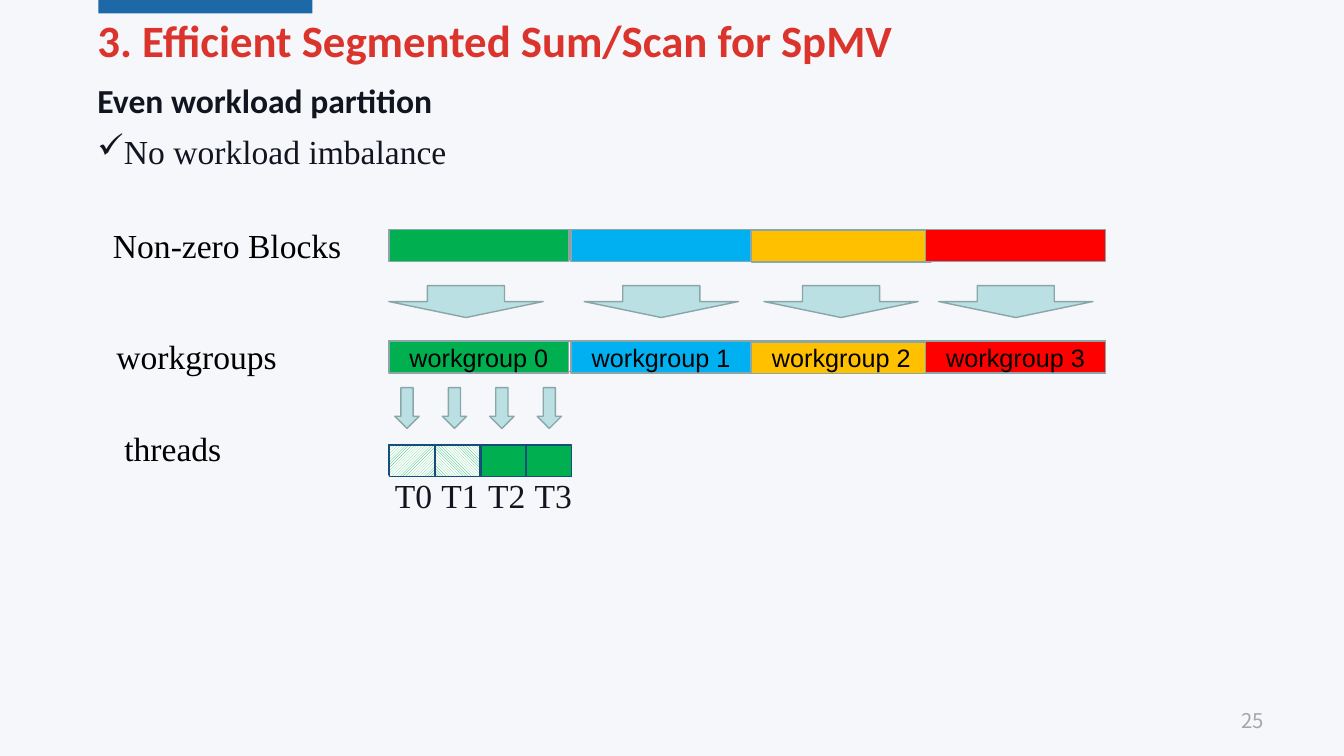
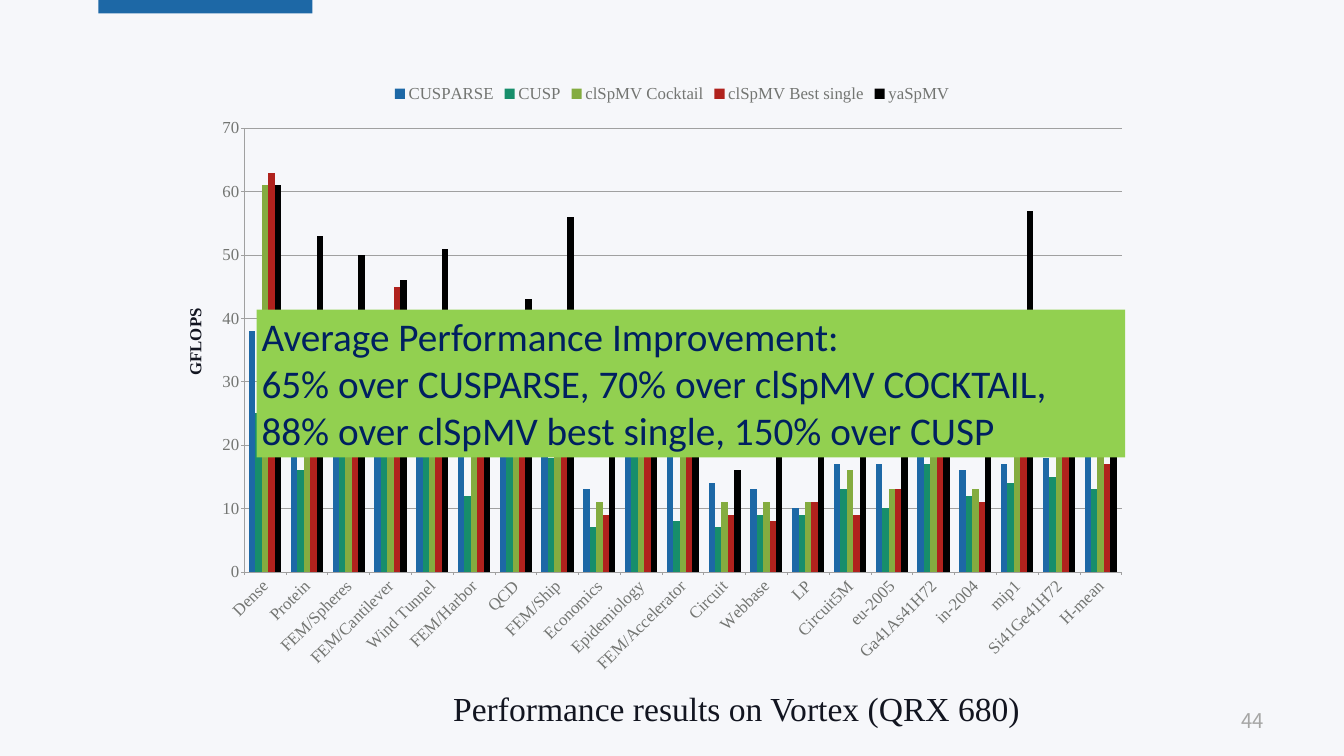
from dataclasses import dataclass

from lxml import etree
from pptx import Presentation
from pptx.chart.data import CategoryChartData
from pptx.dml.color import RGBColor
from pptx.enum.chart import XL_CHART_TYPE, XL_LEGEND_POSITION, XL_TICK_MARK
from pptx.enum.dml import MSO_PATTERN
from pptx.enum.shapes import MSO_SHAPE
from pptx.enum.text import MSO_ANCHOR, MSO_AUTO_SIZE, PP_ALIGN
from pptx.oxml.ns import qn
from pptx.util import Inches, Pt

RECT, DOWN_ARROW = MSO_SHAPE.RECTANGLE, MSO_SHAPE.DOWN_ARROW
LEFT, CENTER, RIGHT = PP_ALIGN.LEFT, PP_ALIGN.CENTER, PP_ALIGN.RIGHT
TOP, MIDDLE = MSO_ANCHOR.TOP, MSO_ANCHOR.MIDDLE
GROW = MSO_AUTO_SIZE.SHAPE_TO_FIT_TEXT
DARK_VERTICAL = MSO_PATTERN.DARK_VERTICAL
THREAD_PATTERNS = (MSO_PATTERN.WIDE_UPWARD_DIAGONAL, MSO_PATTERN.WIDE_DOWNWARD_DIAGONAL,
                   DARK_VERTICAL, MSO_PATTERN.DARK_HORIZONTAL)
TITLE_ONLY, BLANK = 5, 6

# The slide is a grid of 32 columns by 18 rows
SLIDE_W, SLIDE_H = Inches(26.67), Inches(15)
COLUMN, ROW = SLIDE_W / 32, SLIDE_H / 18


class Theme:
    back, bar, ink, black = "F6F7FA", "1D68A6", "121520", "000000"
    red_title, page, grey, white = "DB342D", "A6A6A5", "737572", "FFFFFF"
    arrow, edge, thread_edge = "BBE0E3", "8AA6A8", "154D7B"
    grid, blocks = "A0A0A0", "969895"
    green, blue, amber, red = "00B050", "00B0F0", "FFC000", "FF0000"
    callout, navy = "92D050", "002060"
    series = ("1D68A6", "178E6B", "84AC40", "B0221D", "000000")
    sans, serif, plain, number = "Calibri", "Times New Roman", "Arial", "Noto Sans CJK SC"
    # Type styles: font, size, colour, bold
    head = (sans, 64, red_title, True)
    subhead = (sans, 48, ink, True)
    body = (serif, 48, ink, False)
    row_label = (serif, 48, black, False)
    group = (plain, 36, black, False)
    axis = (serif, 24, grey, False)
    axis_title = (serif, 24, ink, True)
    result = (sans, 56, navy, False)
    page_number = (number, 29, page, False)


@dataclass
class Box:
    """An area in grid columns and rows."""
    x: float
    y: float
    w: float
    h: float

    def inner(self, x, y, w, h):
        return Box(self.x + x, self.y + y, w, h)

    def emu(self):
        return [round(n) for n in (self.x * COLUMN, self.y * ROW, self.w * COLUMN, self.h * ROW)]


def rgb(code):
    return RGBColor.from_string(code)


def set_font(font, style):
    name, size, colour, bold = style
    for key, value in dict(name=name, size=Pt(size), bold=bold).items():
        setattr(font, key, value)
    font.color.rgb = rgb(colour)


def write(shape, lines, style, align=LEFT, inset=(0.1, 0.05), spacing=None, bullet=None, **frame_format):
    frame = shape.text_frame
    x, y = map(Inches, inset)
    settings = dict(margin_left=x, margin_right=x, margin_top=y, margin_bottom=y,
                    word_wrap=True, vertical_anchor=TOP) | frame_format
    for key, value in settings.items():
        setattr(frame, key, value)
    frame.text = "\n".join(lines)
    for paragraph in frame.paragraphs:
        paragraph.alignment = align
        if spacing:
            paragraph.line_spacing = spacing
        if bullet:
            properties = paragraph._p.get_or_add_pPr()
            properties.set("marL", str(Inches(0.38)))
            properties.set("indent", str(-Inches(0.38)))
            etree.SubElement(properties, qn("a:buChar")).set("char", bullet)
        for run in paragraph.runs:
            set_font(run.font, style)
    return shape


def add_text(slide, box, text, style, **options):
    return write(slide.shapes.add_textbox(*box.emu()), [text], style, **options)


def add_block(slide, box, fill=None, edge=None, pattern=None, kind=RECT):
    block = slide.shapes.add_shape(kind, *box.emu())
    block.shadow.inherit = False
    if pattern:
        block.fill.patterned()
        block.fill.pattern = pattern
        block.fill.fore_color.rgb = rgb(fill)
        block.fill.back_color.rgb = rgb(Theme.white)
    elif fill:
        block.fill.solid()
        block.fill.fore_color.rgb = rgb(fill)
    else:
        block.fill.background()
    if edge:
        block.line.color.rgb = rgb(edge)
        block.line.width = Pt(2)
    else:
        block.line.fill.background()
    return block


def add_arrow(slide, box):
    add_block(slide, box, Theme.arrow, Theme.edge, kind=DOWN_ARROW)


def start_slide(deck, layout, page):
    slide = deck.slides.add_slide(deck.slide_layouts[layout])
    slide.background.fill.solid()
    slide.background.fill.fore_color.rgb = rgb(Theme.back)
    add_block(slide, Box(2.34, 0, 5.1, 0.32), Theme.bar)
    add_text(slide, Box(22.93, 16.68, 7.46, 0.96), page, Theme.page_number,
             align=RIGHT, inset=(0.24, 0.12), vertical_anchor=MIDDLE)
    return slide


# Partition slide
ROW_LABELS = (("Non-zero Blocks", 0, 0, 6), ("workgroups", 0.22, 2.64, 4.1),
              ("threads", 0.42, 4.83, 2.57))
# Colour, start of the block, start of its arrow, drop below the row
WORKGROUPS = ((Theme.green, 0, 0, 0), (Theme.blue, 4.34, 4.65, 0),
              (Theme.amber, 8.63, 8.93, 0.02), (Theme.red, 12.78, 13.09, 0))


def draw_headings(slide, box):
    heading = slide.shapes.title
    heading.left, heading.top, heading.width, heading.height = box.inner(0, 1.43, 21.6, 1.51).emu()
    titled = dict(inset=(0.2, 0.1), spacing=0.9, vertical_anchor=MIDDLE)
    write(heading, ["Even workload partition"], Theme.subhead, **titled)
    add_text(slide, box.inner(0, 0, 19.97, 1.57), "3. Efficient Segmented Sum/Scan for SpMV",
             Theme.head, **titled)
    add_text(slide, box.inner(0, 2.75, 21.4, 1.51), "No workload imbalance", Theme.body,
             inset=(0.2, 0.1), bullet="✓")


def draw_row_labels(slide, box):
    for label, x, y, width in ROW_LABELS:
        add_text(slide, box.inner(x, y, width, 1.09), label, Theme.row_label, align=CENTER,
                 word_wrap=width == 6, auto_size=GROW)


def draw_workgroups(slide, box):
    block_row, arrow_row, group_row = 0, 1.34, 2.66
    add_block(slide, box.inner(0, group_row, box.w, 0.73), None, Theme.edge)
    add_block(slide, box.inner(0, block_row, box.w, 0.73), Theme.blocks, Theme.edge, DARK_VERTICAL)
    for number, (colour, start, arrow_start, drop) in enumerate(WORKGROUPS):
        for row in (block_row, group_row):
            block = add_block(slide, box.inner(start, row + drop, 4.28, 0.76), colour, Theme.edge)
        write(block, [f"workgroup {number}"], Theme.group, align=CENTER, vertical_anchor=MIDDLE)
        add_arrow(slide, box.inner(arrow_start, arrow_row, 3.67, 0.76))


def draw_threads(slide, box):
    add_block(slide, box.inner(0, 1.35, box.w, 0.73), Theme.white, Theme.thread_edge)
    for number, pattern in enumerate(THREAD_PATTERNS):
        add_arrow(slide, box.inner(0.14 + 1.13 * number, 0, 0.58, 0.97))
        add_block(slide, box.inner(0.01 + 1.09 * number, 1.38, 1.07, 0.73), Theme.green,
                  Theme.thread_edge, pattern)
        add_text(slide, box.inner(0.14 + 1.11 * number, 2.07, 0.9, 0.97), f"T{number}", Theme.body,
                 inset=(0, 0), word_wrap=False, auto_size=GROW)


def partition_slide(deck):
    slide = start_slide(deck, TITLE_ONLY, "25")
    draw_headings(slide, Box(2.08, 0.25, 21.6, 4.26))
    diagram = Box(2.41, 5.3, 23.91, 6.97)
    draw_row_labels(slide, diagram)
    draw_workgroups(slide, diagram.inner(6.85, 0.16, 17.06, 3.42))
    draw_threads(slide, diagram.inner(6.85, 3.93, 4.34, 3.04))


# Results slide
MATRICES = ("Dense", "Protein", "FEM/Spheres", "FEM/Cantilever", "Wind Tunnel", "FEM/Harbor",
            "QCD", "FEM/Ship", "Economics", "Epidemiology", "FEM/Accelerator", "Circuit",
            "Webbase", "LP", "Circuit5M", "eu-2005", "Ga41As41H72", "in-2004", "mip1",
            "Si41Ge41H72", "H-mean")
GFLOPS = {
    "CUSPARSE": (38, 25, 32, 32, 33, 22, 34, 30, 13, 29, 24, 14, 13, 10, 17, 17, 19, 16, 17, 18, 20),
    "CUSP": (25, 16, 22, 32, 20, 12, 34, 18, 7, 27, 8, 7, 9, 9, 13, 10, 17, 12, 14, 15, 13),
    "clSpMV Cocktail": (61, 30, 31, 41, 36, 26, 31, 38, 11, 27, 21, 11, 11, 11, 16, 13, 20, 13,
                        25, 20, 19),
    "clSpMV Best single": (63, 35, 33, 45, 40, 26, 34, 38, 9, 27, 23, 9, 8, 11, 9, 13, 19, 11,
                           22, 22, 17),
    "yaSpMV": (61, 53, 50, 46, 51, 40, 43, 56, 21, 29, 27, 16, 19, 31, 26, 31, 33, 33, 57, 33, 33),
}
IMPROVEMENT = ("Average Performance Improvement:",
               "65% over CUSPARSE, 70% over clSpMV COCKTAIL,",
               "88% over clSpMV best single, 150% over CUSP")


def draw_chart(slide, box):
    data = CategoryChartData()
    data.categories = MATRICES
    for method, values in GFLOPS.items():
        data.add_series(method, values)
    chart = slide.shapes.add_chart(XL_CHART_TYPE.COLUMN_CLUSTERED, *box.emu(), data).chart
    set_font(chart.font, (Theme.sans, 16, Theme.grey, False))
    chart.has_title = False
    chart.has_legend = True
    chart.legend.position = XL_LEGEND_POSITION.TOP
    chart.legend.include_in_layout = False
    set_font(chart.legend.font, Theme.axis)

    plot = chart.plots[0]
    for key, value in dict(gap_width=150, overlap=0, vary_by_categories=False).items():
        setattr(plot, key, value)
    for series, colour in zip(plot.series, Theme.series):
        series.format.fill.solid()
        series.format.fill.fore_color.rgb = rgb(colour)

    matrices, speed = chart.category_axis, chart.value_axis
    for key, value in dict(minimum_scale=0, maximum_scale=70, major_unit=10,
                           has_major_gridlines=True).items():
        setattr(speed, key, value)
    for axis in (matrices, speed):
        axis.major_tick_mark = XL_TICK_MARK.OUTSIDE
        set_font(axis.tick_labels.font, Theme.axis)
    for line in (matrices.format.line, speed.format.line, speed.major_gridlines.format.line):
        line.color.rgb = rgb(Theme.grid)
        line.width = Pt(0.75)
    # Slant the matrix names by 45 degrees
    chart.element.xpath(".//c:catAx/c:txPr/a:bodyPr")[0].set("rot", "-2700000")


def draw_axis_title(slide, box):
    title = add_text(slide, box, "GFLOPS", Theme.axis_title, word_wrap=False,
                     vertical_anchor=MIDDLE, auto_size=GROW)
    title.element.txBody.bodyPr.set("vert", "vert270")


def results_slide(deck):
    slide = start_slide(deck, BLANK, "44")
    area = Box(4.27, 1.84, 22.88, 15.57)
    add_text(slide, area.inner(6.4, 14.48, 13.9, 1.09), "Performance results on Vortex (QRX 680)",
             Theme.body, word_wrap=False, auto_size=GROW)
    draw_chart(slide, area.inner(0.58, 0, 22.3, 14.48))
    draw_axis_title(slide, area.inner(0, 5.48, 0.73, 1.74))
    callout = add_block(slide, area.inner(1.84, 5.53, 20.68, 3.52), Theme.callout)
    write(callout, IMPROVEMENT, Theme.result, auto_size=GROW)


def main():
    deck = Presentation()
    deck.slide_width, deck.slide_height = SLIDE_W, SLIDE_H
    partition_slide(deck)
    results_slide(deck)
    deck.save("out.pptx")


if __name__ == "__main__":
    main()
